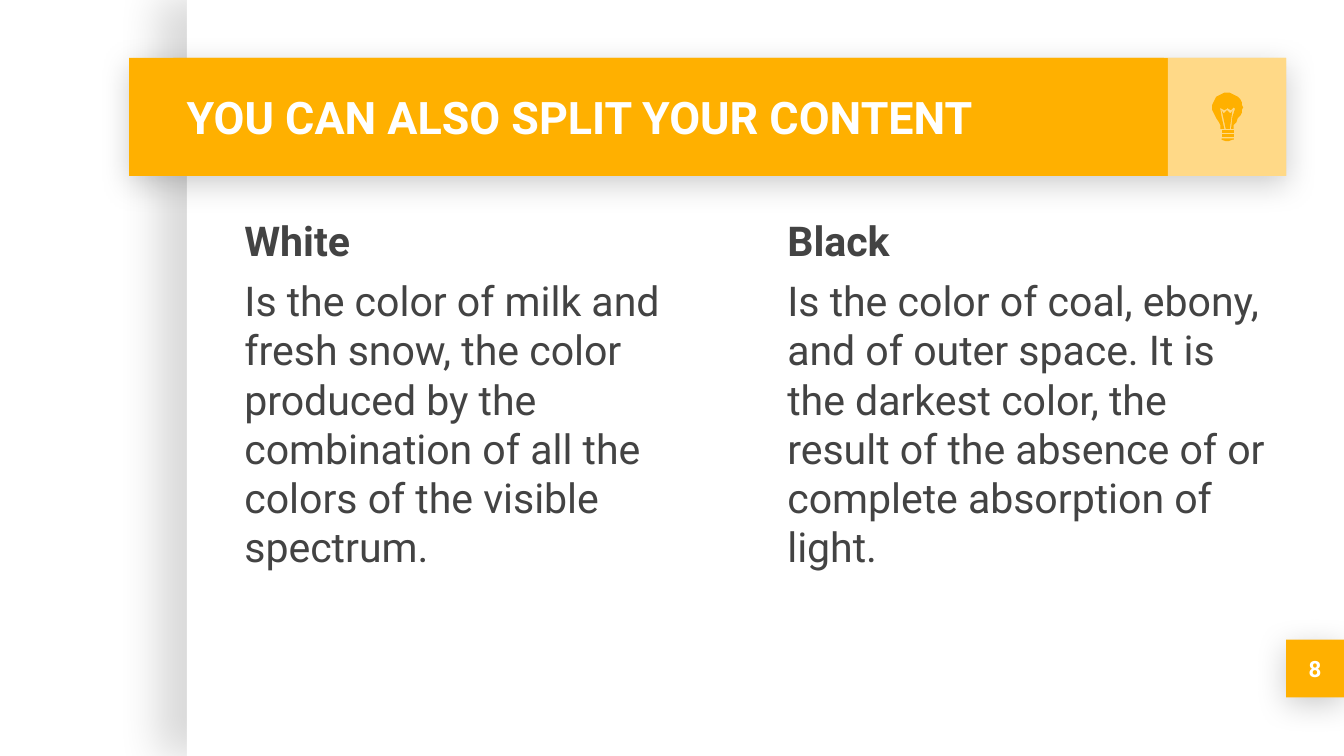
from lxml import etree
from pptx import Presentation
from pptx.dml.color import RGBColor
from pptx.enum.shapes import MSO_SHAPE
from pptx.enum.text import MSO_ANCHOR, PP_ALIGN
from pptx.oxml.ns import qn
from pptx.util import Inches, Pt

RECTANGLE = MSO_SHAPE.RECTANGLE
TOP, MIDDLE = MSO_ANCHOR.TOP, MSO_ANCHOR.MIDDLE
LEFT, CENTER = PP_ALIGN.LEFT, PP_ALIGN.CENTER

WIDTH = 10
HEIGHT = WIDTH * 9 / 16
FONT = "Roboto"
COLORS = {"page": "FFFFFF", "accent": "FFB000", "body": "434343",
          "light": "FFFFFF", "shadow": "000000"}

# Page grid, in inches
PAGE_LEFT = 1.39
RIGHT_EDGE = 9.57
TAB = WIDTH - RIGHT_EDGE
BANNER_LEFT, BANNER_TOP, BANNER_HEIGHT = 0.96, 0.43, 0.88
INSET = 0.1
COLUMN_LEFT, COLUMN_TOP, COLUMN_WIDTH, COLUMN_HEIGHT = 1.72, 1.5, 3.81, 3.7
COLUMN_STEP = RIGHT_EDGE - COLUMN_WIDTH - COLUMN_LEFT

# Shadows: opacity %, blur pt, distance pt, direction in degrees
PAGE_SHADOW = (15, 22.5, 15, 180)
BANNER_SHADOW = (20, 16.9, 3.8, 90)

COLUMNS = [
    ("White", "Is the color of milk and fresh snow, the color produced by the "
              "combination of all the colors of the visible spectrum."),
    ("Black", "Is the color of coal, ebony, and of outer space. It is the darkest "
              "color, the result of the absence of or complete absorption of light."),
]

# Left halves of the bulb's parts, in hundredths of an inch:
# (distance from the axis, height on the slide)
BULB_AXIS = 913.2
BULB_HALVES = [
    [(4.5, 100), (4.5, 102)],
    [(4.5, 97), (4.5, 99)],
    [(4.5, 103), (4.5, 103.5), (4, 104), (1, 105)],
    [(0, 82), (2, 84), (3, 84), (4.2, 82), (1.4, 96)],
    [(0, 68.7), (2, 69), (4, 69.6), (6, 70.7), (8, 72.2), (9.5, 74), (10.6, 76),
     (11.3, 78), (11.4, 80), (11.2, 82), (10.5, 84), (9.5, 86), (8, 88.5),
     (6.3, 91), (5.3, 93), (4.8, 96), (2.6, 96), (4.2, 87), (5.6, 81),
     (5, 80.4), (4, 81.2), (2.5, 81.7), (0.5, 80.6), (0, 80.4)],
]


def rgb(name):
    return RGBColor.from_string(COLORS[name])


def set_opacity(color_element, percent):
    etree.SubElement(color_element, qn("a:alpha")).set("val", str(percent * 1000))


def add_shadow(shape, opacity, blur, distance, direction):
    effects = shape._element.spPr.find(qn("a:effectLst"))
    shadow = etree.SubElement(effects, qn("a:outerShdw"), {
        "blurRad": str(Pt(blur)), "dist": str(Pt(distance)),
        "dir": str(direction * 60000), "algn": "bl", "rotWithShape": "0"})
    color = etree.SubElement(shadow, qn("a:srgbClr"), val=COLORS["shadow"])
    set_opacity(color, opacity)


def paint(shape, color):
    shape.shadow.inherit = False
    shape.fill.solid()
    shape.fill.fore_color.rgb = rgb(color)
    shape.line.fill.background()


def add_panel(slide, box, color, shadow=None, opacity=None):
    panel = slide.shapes.add_shape(RECTANGLE, *map(Inches, box))
    paint(panel, color)
    if shadow:
        add_shadow(panel, *shadow)
    if opacity:
        set_opacity(panel._element.spPr.find(".//" + qn("a:srgbClr")), opacity)
    return panel


def prepare_frame(shape, anchor):
    frame = shape.text_frame
    frame.word_wrap = True
    frame.vertical_anchor = anchor
    frame.margin_left = frame.margin_right = Inches(INSET)
    frame.margin_top = frame.margin_bottom = Inches(INSET)
    return frame


def add_run(paragraph, text, size, color, bold=True, align=LEFT):
    paragraph.alignment = align
    run = paragraph.add_run()
    run.text = text
    run.font.name = FONT
    run.font.size = Pt(size)
    run.font.bold = bold
    run.font.color.rgb = rgb(color)


def add_label(panel, text, size, align):
    frame = prepare_frame(panel, MIDDLE)
    add_run(frame.paragraphs[0], text, size, "light", align=align)


def add_column(slide, index, heading, description):
    box = (COLUMN_LEFT + index * COLUMN_STEP, COLUMN_TOP, COLUMN_WIDTH, COLUMN_HEIGHT)
    frame = prepare_frame(slide.shapes.add_textbox(*map(Inches, box)), TOP)
    paragraphs = frame.paragraphs[0], frame.add_paragraph()
    for paragraph, text, bold in zip(paragraphs, (heading, description), (True, False)):
        paragraph.space_before = Pt(6)
        add_run(paragraph, text, 22, "body", bold)


def add_bulb(slide):
    """Draw each part of the bulb by mirroring its left half on the axis."""
    bulb = slide.shapes.add_group_shape()
    for half in BULB_HALVES:
        outline = [(BULB_AXIS - dx, y) for dx, y in half]
        outline += [(BULB_AXIS + dx, y) for dx, y in reversed(half)]
        builder = bulb.shapes.build_freeform(*outline[0], scale=Inches(0.01))
        builder.add_line_segments(outline[1:], close=True)
        paint(builder.convert_to_shape(), "accent")


def main():
    deck = Presentation()
    deck.slide_width, deck.slide_height = Inches(WIDTH), Inches(HEIGHT)
    slide = deck.slides.add_slide(deck.slide_layouts[6])

    add_panel(slide, (PAGE_LEFT, 0, WIDTH - PAGE_LEFT, HEIGHT), "page", PAGE_SHADOW)
    add_panel(slide, (BANNER_LEFT, BANNER_TOP, RIGHT_EDGE - BANNER_LEFT, BANNER_HEIGHT),
              "accent", BANNER_SHADOW)
    add_panel(slide, (RIGHT_EDGE - BANNER_HEIGHT, BANNER_TOP, BANNER_HEIGHT, BANNER_HEIGHT),
              "light", opacity=53)

    title = add_panel(slide, (PAGE_LEFT - INSET, BANNER_TOP, 7.37, BANNER_HEIGHT), "accent")
    add_label(title, "YOU CAN ALSO SPLIT YOUR CONTENT", 24, LEFT)

    for index, (heading, description) in enumerate(COLUMNS):
        add_column(slide, index, heading, description)

    page_number = add_panel(slide, (RIGHT_EDGE, 4.76, TAB, TAB), "accent", BANNER_SHADOW)
    add_label(page_number, "8", 12, CENTER)

    add_bulb(slide)
    deck.save("out.pptx")


if __name__ == "__main__":
    main()
